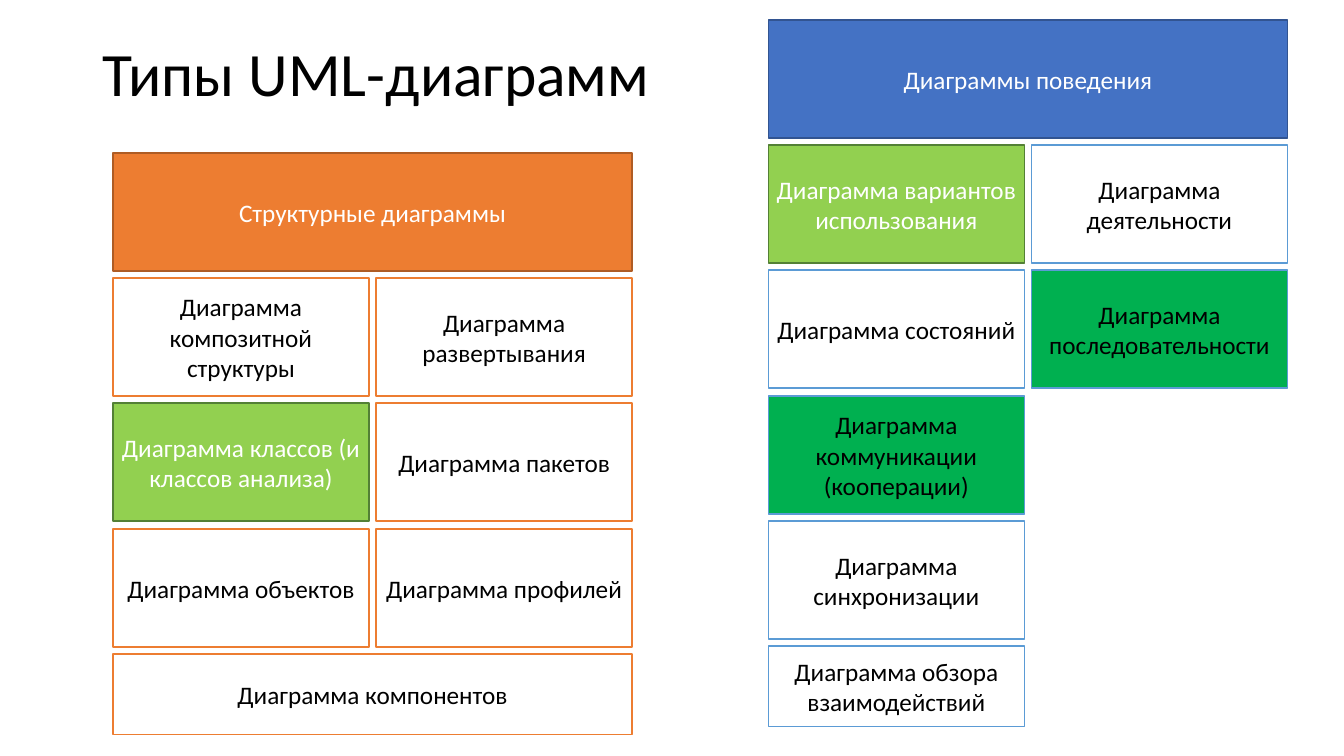
from pptx import Presentation
from pptx.dml.color import RGBColor
from pptx.enum.shapes import MSO_SHAPE
from pptx.enum.text import MSO_ANCHOR, PP_ALIGN
from pptx.util import Pt

RECTANGLE = MSO_SHAPE.RECTANGLE
MIDDLE = MSO_ANCHOR.MIDDLE
LEFT, CENTER = PP_ALIGN.LEFT, PP_ALIGN.CENTER

BLACK = RGBColor(0x00, 0x00, 0x00)
WHITE = RGBColor(0xFF, 0xFF, 0xFF)
ORANGE = RGBColor(0xED, 0x7D, 0x31)
DARK_ORANGE = RGBColor(0xAF, 0x5C, 0x24)
BLUE = RGBColor(0x44, 0x72, 0xC4)
DARK_BLUE = RGBColor(0x32, 0x54, 0x91)
LIGHT_BLUE = RGBColor(0x5B, 0x9B, 0xD5)
LIGHT_GREEN = RGBColor(0x92, 0xD0, 0x50)
DARK_GREEN = RGBColor(0x53, 0x80, 0x35)
GREEN = RGBColor(0x00, 0xB0, 0x50)

EMU_PER_PX = 9144  # 100 px to the inch
ROW_PITCH = 124.25
COLUMN_PITCH = 261
BOX_WIDTH, WIDE_WIDTH = 254, 515
BOX_HEIGHT, LAST_HEIGHT = 117, 80

# Box styles: fill, line, text
ORANGE_HEADER = (ORANGE, DARK_ORANGE, WHITE)
BLUE_HEADER = (BLUE, DARK_BLUE, WHITE)
ORANGE_OUTLINE = (WHITE, ORANGE, BLACK)
BLUE_OUTLINE = (WHITE, LIGHT_BLUE, BLACK)
LIGHT_GREEN_BOX = (LIGHT_GREEN, DARK_GREEN, WHITE)
GREEN_BOX = (GREEN, LIGHT_BLUE, BLACK)

# Each row lists its boxes from left to right
STRUCTURE_ROWS = [
    [("Структурные диаграммы", ORANGE_HEADER)],
    [("Диаграмма композитной структуры", ORANGE_OUTLINE),
     ("Диаграмма развертывания", ORANGE_OUTLINE)],
    [("Диаграмма классов (и классов анализа)", LIGHT_GREEN_BOX),
     ("Диаграмма пакетов", ORANGE_OUTLINE)],
    [("Диаграмма объектов", ORANGE_OUTLINE),
     ("Диаграмма профилей", ORANGE_OUTLINE)],
    [("Диаграмма компонентов", ORANGE_OUTLINE)],
]
BEHAVIOUR_ROWS = [
    [("Диаграммы поведения", BLUE_HEADER)],
    [("Диаграмма вариантов использования", LIGHT_GREEN_BOX),
     ("Диаграмма деятельности", BLUE_OUTLINE)],
    [("Диаграмма состояний", BLUE_OUTLINE),
     ("Диаграмма последовательности", GREEN_BOX)],
    [("Диаграмма коммуникации (кооперации)", GREEN_BOX)],
    [("Диаграмма синхронизации", BLUE_OUTLINE)],
    [("Диаграмма обзора взаимодействий", BLUE_OUTLINE)],
]


def px(length):
    return length * EMU_PER_PX


class SlideBuilder:
    font = "Calibri"
    title_size = Pt(44)
    box_size = Pt(18)
    line_width = Pt(1)
    box_margin = 8

    def __init__(self, slide):
        self.slide = slide

    def set_text(self, shape, text, size, color, alignment):
        frame = shape.text_frame
        frame.word_wrap = True
        frame.vertical_anchor = MIDDLE
        paragraph = frame.paragraphs[0]
        paragraph.alignment = alignment
        run = paragraph.add_run()
        run.text = text
        run.font.name = self.font
        run.font.size = size
        run.font.color.rgb = color
        return paragraph

    def title(self, text, left, top, width, height):
        shape = self.slide.shapes.title
        shape.left, shape.top = px(left), px(top)
        shape.width, shape.height = px(width), px(height)
        paragraph = self.set_text(shape, text, self.title_size, BLACK, LEFT)
        paragraph.line_spacing = 0.9

    def box(self, text, style, left, top, width, height):
        fill, line, text_color = style
        shape = self.slide.shapes.add_shape(
            RECTANGLE, px(left), px(top), px(width), px(height))
        shape.shadow.inherit = False
        shape.fill.solid()
        shape.fill.fore_color.rgb = fill
        shape.line.color.rgb = line
        shape.line.width = self.line_width
        shape.text_frame.margin_left = px(self.box_margin)
        shape.text_frame.margin_right = px(self.box_margin)
        self.set_text(shape, text, self.box_size, text_color, CENTER)

    def group(self, rows, left, top, wide_rows):
        """Stack rows of boxes; the last row is lower, wide rows span both columns."""
        for row, boxes in enumerate(rows):
            width = WIDE_WIDTH if row in wide_rows else BOX_WIDTH
            height = LAST_HEIGHT if row == len(rows) - 1 else BOX_HEIGHT
            for column, (text, style) in enumerate(boxes):
                self.box(text, style, left + column * COLUMN_PITCH,
                         top + round(row * ROW_PITCH), width, height)


def main():
    presentation = Presentation()
    presentation.slide_width = px(1333)
    presentation.slide_height = px(750)
    title_only = presentation.slide_layouts[5]
    builder = SlideBuilder(presentation.slides.add_slide(title_only))
    builder.title("Типы UML-диаграмм", 92, 3, 1150, 145)
    builder.group(STRUCTURE_ROWS, 112, 152, wide_rows=(0, 4))
    builder.group(BEHAVIOUR_ROWS, 762, 20, wide_rows=(0,))
    presentation.save("out.pptx")


if __name__ == "__main__":
    main()
